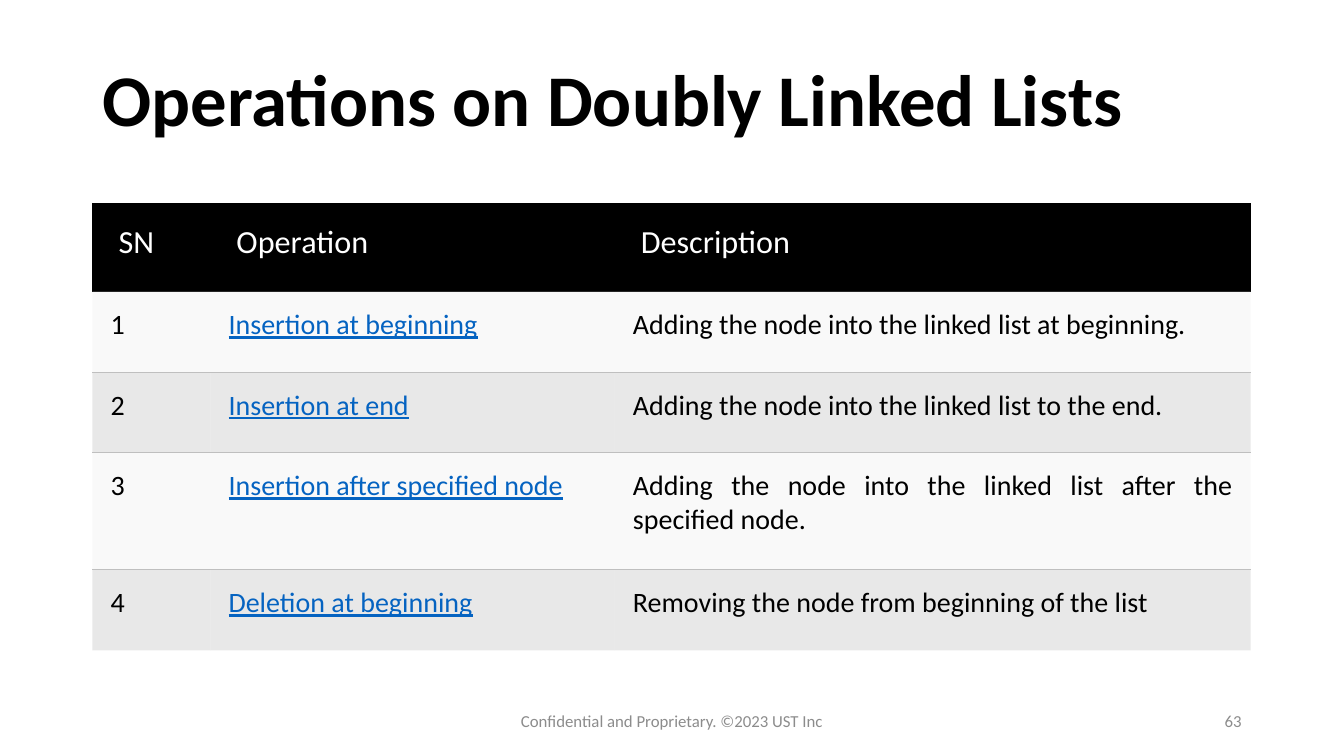
from lxml import etree
from pptx import Presentation
from pptx.dml.color import RGBColor
from pptx.enum.text import MSO_ANCHOR, PP_ALIGN
from pptx.oxml.ns import qn
from pptx.util import Cm, Pt

LEFT, CENTER, RIGHT, JUSTIFY = (
    PP_ALIGN.LEFT, PP_ALIGN.CENTER, PP_ALIGN.RIGHT, PP_ALIGN.JUSTIFY)
TOP, MIDDLE = MSO_ANCHOR.TOP, MSO_ANCHOR.MIDDLE

FONT = "Calibri"
BLACK, WHITE, GREY, BLUE = "000000", "FFFFFF", "8C8C8C", "0563C1"
RULE = "BFBFBF"
BANDS = [("F2F2F2", 45), ("BFBFBF", 35)]
PLAIN_STYLE = "{2D5ABB26-0587-4C30-8999-92F81FD0307C}"

WIDTHS = [2.97, 10.19, 16.03]
HEIGHTS = [2.24, 2.03, 2.03, 2.95, 2.03]
HEADER = ["SN", "Operation", "Description"]
ROWS = [
    ["1", "Insertion at beginning",
     "Adding the node into the linked list at beginning."],
    ["2", "Insertion at end",
     "Adding the node into the linked list to the end."],
    ["3", "Insertion after specified node",
     "Adding the node into the linked list after the specified node."],
    ["4", "Deletion at beginning",
     "Removing the node from beginning of the list"],
]


def color(code):
    return RGBColor.from_string(code)


def write(frame, text, size, tint, align=LEFT, bold=False, under=False):
    para = frame.paragraphs[0]
    para.alignment = align
    run = para.add_run()
    run.text = text
    font = run.font
    font.name, font.size, font.bold = FONT, Pt(size), bold
    font.underline = under
    font.color.rgb = color(tint)
    return para


def add_text(slide, place, text, size, tint, align=LEFT, bold=False):
    box = slide.shapes.add_textbox(*map(Cm, place))
    frame = box.text_frame
    frame.word_wrap = True
    frame.vertical_anchor = MIDDLE
    return write(frame, text, size, tint, align, bold)


def fill_cell(cell, tint, alpha=100):
    """Fill a cell; alpha is its opacity in percent."""
    cell.fill.solid()
    cell.fill.fore_color.rgb = color(tint)
    if alpha < 100:
        clr = cell._tc.tcPr.find(".//" + qn("a:srgbClr"))
        etree.SubElement(clr, qn("a:alpha"), val=str(alpha * 1000))


def rule_above(cell):
    line = etree.Element(qn("a:lnT"), w=str(Pt(1)))
    solid = etree.SubElement(line, qn("a:solidFill"))
    etree.SubElement(solid, qn("a:srgbClr"), val=RULE)
    cell._tc.get_or_add_tcPr().insert(0, line)


def pad(cell, side):
    cell.margin_left = cell.margin_right = cell.margin_bottom = Cm(side)
    cell.margin_top = Cm(0.41)


def add_table(slide):
    frame = slide.shapes.add_table(
        len(HEIGHTS), len(WIDTHS), Cm(2.33), Cm(5.11),
        Cm(sum(WIDTHS)), Cm(sum(HEIGHTS)))
    table = frame.table
    table._tbl.tblPr.find(qn("a:tableStyleId")).text = PLAIN_STYLE
    table.horz_banding = False
    table.first_row = True
    for col, width in zip(table.columns, WIDTHS):
        col.width = Cm(width)
    for row, height in zip(table.rows, HEIGHTS):
        row.height = Cm(height)

    for cell, text in zip(table.rows[0].cells, HEADER):
        pad(cell, 0.66)
        cell.vertical_anchor = MIDDLE
        fill_cell(cell, BLACK)
        write(cell.text_frame, text, 23, WHITE)

    for r, texts in enumerate(ROWS):
        for c, text in enumerate(texts):
            cell = table.cell(r + 1, c)
            pad(cell, 0.46)
            cell.vertical_anchor = TOP
            fill_cell(cell, *BANDS[r % 2])
            if r % 2:
                rule_above(cell)
            link = c == 1
            write(cell.text_frame, text, 20, BLUE if link else BLACK,
                  JUSTIFY, under=link)


def main():
    deck = Presentation()
    deck.slide_width, deck.slide_height = Cm(33.87), Cm(19.05)
    slide = deck.slides.add_slide(deck.slide_layouts[6])

    title = add_text(slide, (2.33, 0.51, 29.21, 4.19),
                     "Operations on Doubly Linked Lists", 52, BLACK, bold=True)
    title.line_spacing = 0.9
    add_table(slide)
    for left, width, text, align in [
        (11.22, 11.43, "Confidential and Proprietary. ©2023 UST Inc", CENTER),
        (23.92, 7.62, "63", RIGHT),
    ]:
        note = add_text(slide, (left, 17.66, width, 1.01),
                        text, 12, GREY, align)
        note.space_after = Pt(6)

    deck.save("out.pptx")


if __name__ == "__main__":
    main()
